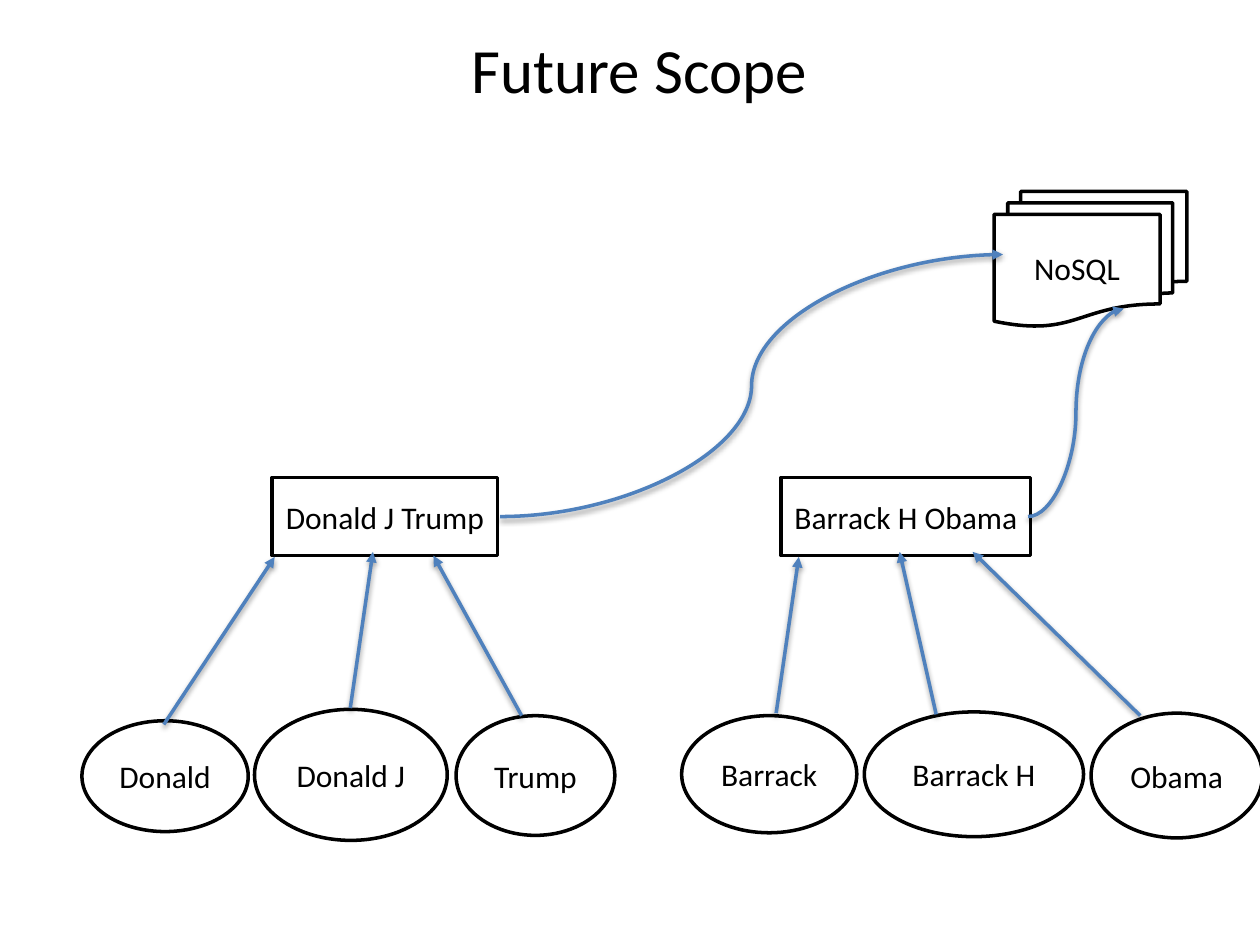
from lxml.etree import SubElement
from pptx import Presentation
from pptx.dml.color import RGBColor
from pptx.enum.shapes import MSO_CONNECTOR, MSO_SHAPE
from pptx.enum.text import MSO_ANCHOR, PP_ALIGN
from pptx.oxml import parse_xml
from pptx.oxml.ns import nsdecls, qn
from pptx.util import Inches, Pt

BLACK = RGBColor(0x00, 0x00, 0x00)
WHITE = RGBColor(0xFF, 0xFF, 0xFF)
BLUE = RGBColor(0x4F, 0x81, 0xBD)

WIDTH, HEIGHT = Inches(10), Inches(7.5)
COLS, ROWS = 100, 75

SHADOW = (
    f'<a:effectLst {nsdecls("a")}>'
    '<a:outerShdw blurRad="40000" dist="20000" dir="5400000" rotWithShape="0">'
    '<a:srgbClr val="000000"><a:alpha val="38000"/></a:srgbClr>'
    '</a:outerShdw></a:effectLst>'
)

NAMES = [
    ("Donald J Trump", (21.6, 37.9, 17.9, 6.2)),
    ("Barrack H Obama", (62, 37.9, 19.8, 6.2)),
]
PARTS = [
    ("Trump", (36.2, 56.8, 12.6, 9.5)),
    ("Donald J", (20.2, 56.3, 15.3, 10.4)),
    ("Donald", (6.5, 57.2, 13.2, 8.8)),
    ("Obama", (86.6, 56.6, 13.6, 9.9)),
    ("Barrack H", (68.6, 56.5, 17.4, 9.9)),
    ("Barrack", (54.1, 56.8, 13.9, 9.3)),
]
PART_ARROWS = [
    ((13, 57.5), (21.8, 44.2)),
    ((61.6, 56.6), (63.4, 44.2)),
    ((41.4, 56.8), (34.4, 44.1)),
    ((27.8, 56.2), (29.6, 43.8)),
    ((74.3, 56.7), (71.4, 43.8)),
    ((90.5, 56.8), (77.2, 43.8)),
]
STORE_ARROWS = [
    ((39.7, 41), (79.6, 20.2)),
    ((81.6, 41), (89.2, 24.5)),
]


def place(*grid):
    units = (WIDTH / COLS, HEIGHT / ROWS)
    return [round(n * units[i % 2]) for i, n in enumerate(grid)]


def write(tf, text, size=18, color=BLACK, font="Calibri", wrap=False):
    tf.word_wrap = wrap
    tf.vertical_anchor = MSO_ANCHOR.MIDDLE
    p = tf.paragraphs[0]
    p.alignment = PP_ALIGN.CENTER
    r = p.add_run()
    r.text = text
    r.font.size = Pt(size)
    r.font.name = font
    r.font.color.rgb = color


def add_title(s, text, box):
    sp = s.shapes.add_textbox(*place(*box))
    write(sp.text_frame, text, size=36, wrap=True)


def add_node(s, kind, text, box):
    sp = s.shapes.add_shape(kind, *place(*box))
    sp.shadow.inherit = False
    sp.fill.solid()
    sp.fill.fore_color.rgb = WHITE
    sp.line.color.rgb = BLACK
    sp.line.width = Pt(2)
    write(sp.text_frame, text)


def add_arrow(s, start, end, kind=MSO_CONNECTOR.STRAIGHT):
    sp = s.shapes.add_connector(kind, *place(*start, *end))
    sp.line.color.rgb = BLUE
    sp.line.width = Pt(2)
    SubElement(sp.line._get_or_add_ln(), qn("a:tailEnd"), type="triangle")
    sp._element.spPr.append(parse_xml(SHADOW))


def main():
    prs = Presentation()
    prs.slide_width, prs.slide_height = WIDTH, HEIGHT
    s = prs.slides.add_slide(prs.slide_layouts[6])
    add_title(s, "Future Scope", (6.5, 0, 88.5, 10.9))
    add_node(s, MSO_SHAPE.FLOWCHART_MULTIDOCUMENT, "NoSQL", (78.9, 15.2, 15.3, 10.7))
    for text, box in NAMES:
        add_node(s, MSO_SHAPE.RECTANGLE, text, box)
    for text, box in PARTS:
        add_node(s, MSO_SHAPE.OVAL, text, box)
    for start, end in PART_ARROWS:
        add_arrow(s, start, end)
    for start, end in STORE_ARROWS:
        add_arrow(s, start, end, kind=MSO_CONNECTOR.CURVE)
    prs.save("out.pptx")


if __name__ == "__main__":
    main()
